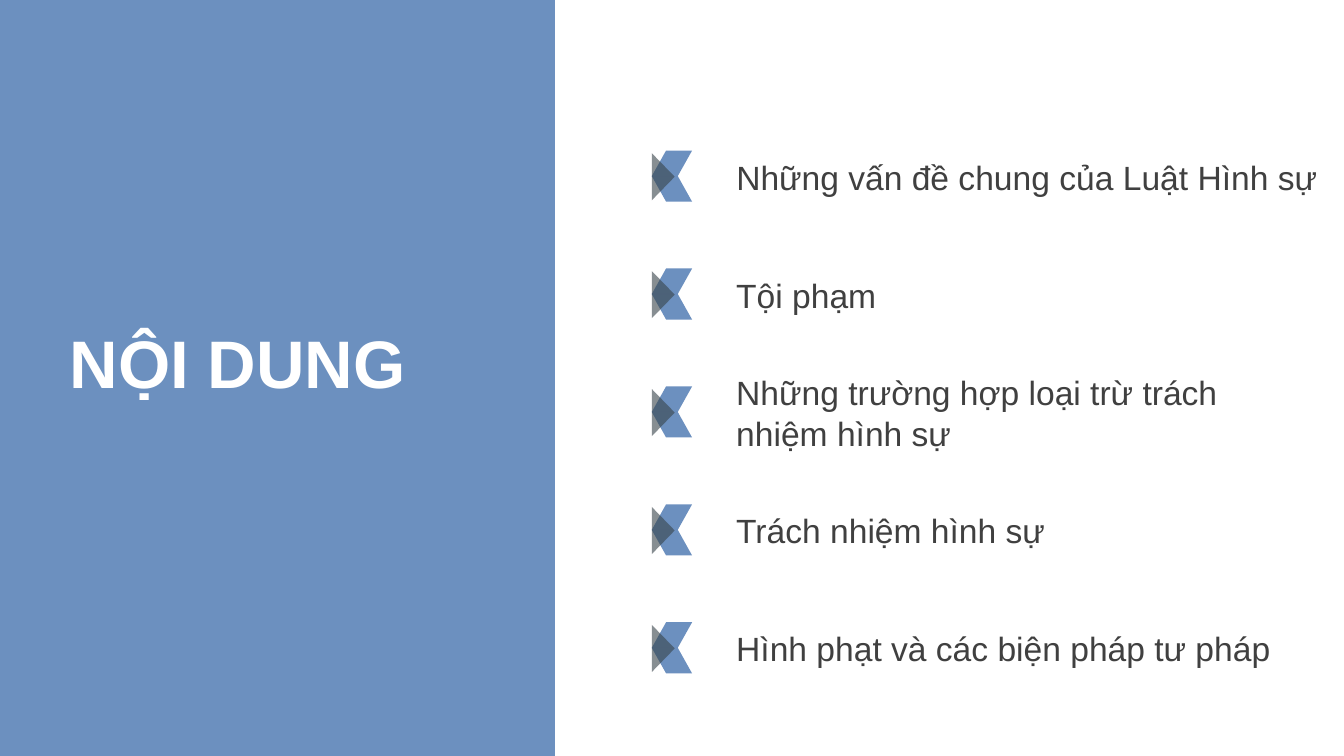
import pptx
import pptx.dml.color
import pptx.enum.shapes
import pptx.enum.text
import pptx.oxml.ns
import pptx.util
from lxml import etree

SLIDE_WIDTH = 10
SLIDE_HEIGHT = SLIDE_WIDTH * 9 / 16
BLUE, SLATE, GREY, WHITE = "5E85B9", "38444A", "404040", "FFFFFF"
FONT = "Arial"

FIRST_ROW, LAST_ROW = 1.06, 4.57
ROW_HEIGHT = 0.51
MARKER_LEFT, TOPIC_LEFT = 4.85, 5.38

# Each topic with the width of its text column
TOPICS = [
    ("Những vấn đề chung của Luật Hình sự", 4.62),
    ("Tội phạm", 4.2),
    ("Những trường hợp loại trừ trách nhiệm hình sự", 4.43),
    ("Trách nhiệm hình sự", 4.43),
    ("Hình phạt và các biện pháp tư pháp", 4.3),
]

PRESET = pptx.enum.shapes.MSO_SHAPE
ANCHOR = pptx.enum.text.MSO_ANCHOR


def inches(*lengths):
    return [pptx.util.Inches(length) for length in lengths]


def set_color(color_format, hex_color):
    color_format.rgb = pptx.dml.color.RGBColor.from_string(hex_color)


def set_opacity(block, percent):
    qn = pptx.oxml.ns.qn
    color = block._element.spPr.find(qn("a:solidFill")).find(qn("a:srgbClr"))
    etree.SubElement(color, qn("a:alpha"), val=str(percent * 1000))


def add_block(shapes, preset, box, color, opacity, adjust=None,
              rotation=0, mirrored=False):
    block = shapes.add_shape(preset, *inches(*box))
    block.shadow.inherit = False
    block.fill.solid()
    set_color(block.fill.fore_color, color)
    set_opacity(block, opacity)
    block.line.fill.background()
    block.rotation = rotation
    if adjust is not None:
        block.adjustments[0] = adjust
    if mirrored:
        block._element.spPr.xfrm.set("flipH", "1")


def add_text(slide, text, box, *, size, color, bold=False, anchor=ANCHOR.TOP):
    frame = slide.shapes.add_textbox(*inches(*box)).text_frame
    frame.word_wrap = True
    frame.vertical_anchor = anchor
    frame.margin_left = frame.margin_right = pptx.util.Inches(0.1)
    frame.margin_top = frame.margin_bottom = pptx.util.Inches(0.1)
    run = frame.paragraphs[0].add_run()
    run.text = text
    run.font.name = FONT
    run.font.size = pptx.util.Pt(size)
    run.font.bold = bold
    set_color(run.font.color, color)


def add_marker(slide, top):
    """Draw two mirrored parallelograms with a triangle pointing into them."""
    width, half = 0.3, 0.19
    marker = slide.shapes.add_group_shape().shapes
    for part in range(2):
        add_block(marker, PRESET.PARALLELOGRAM,
                  (MARKER_LEFT, top + part * half, width, half),
                  BLUE, 91, adjust=0.56, mirrored=part == 1)
    add_block(marker, PRESET.ISOSCELES_TRIANGLE,
              (MARKER_LEFT - 0.09, top + 0.11, 0.35, 0.17),
              SLATE, 60, rotation=90)


def main():
    deck = pptx.Presentation()
    deck.slide_width, deck.slide_height = inches(SLIDE_WIDTH, SLIDE_HEIGHT)
    slide = deck.slides.add_slide(deck.slide_layouts[6])

    add_block(slide.shapes, PRESET.RECTANGLE, (0, 0, 4.13, SLIDE_HEIGHT), BLUE, 91)
    add_text(slide, "NỘI DUNG", (0.42, 2.29, 3.92, 1.93),
             size=36, color=WHITE, bold=True)

    pitch = (LAST_ROW - FIRST_ROW) / (len(TOPICS) - 1)
    for row, (topic, width) in enumerate(TOPICS):
        top = FIRST_ROW + row * pitch
        add_marker(slide, top + 0.06)
        add_text(slide, topic, (TOPIC_LEFT, top, width, ROW_HEIGHT),
                 size=18, color=GREY, anchor=ANCHOR.MIDDLE)

    deck.save("out.pptx")


if __name__ == "__main__":
    main()
